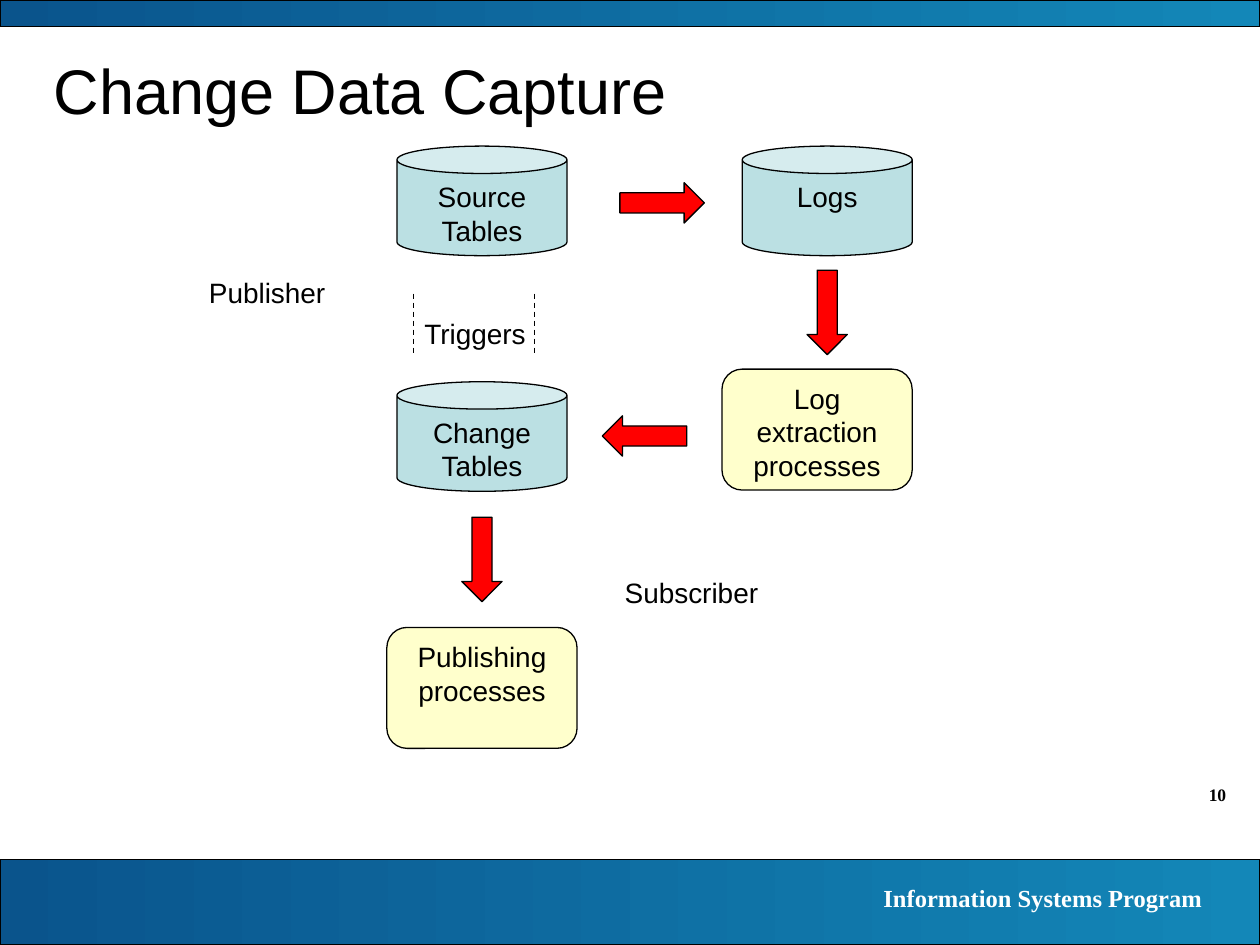
from dataclasses import dataclass

from pptx import Presentation
from pptx.dml.color import RGBColor
from pptx.enum.dml import MSO_LINE
from pptx.enum.shapes import MSO_CONNECTOR, MSO_SHAPE
from pptx.enum.text import MSO_ANCHOR, PP_ALIGN
from pptx.oxml.ns import qn
from pptx.util import Inches, Pt
from lxml.etree import SubElement


@dataclass(frozen=True)
class Theme:
    black: str = "000000"
    white: str = "FFFFFF"
    band_start: str = "0A548C"
    band_end: str = "1387B8"
    store: str = "BBE0E3"
    process: str = "FFFFCC"
    arrow: str = "FF0000"
    sans: str = "Arial"
    serif: str = "Times New Roman"
    title_size: int = 36
    body_size: int = 16
    footer_size: int = 14
    number_size: int = 10
    line_width: float = 0.75


@dataclass(frozen=True)
class Box:
    left: float
    top: float
    width: float
    height: float

    def inner(self, left, top, width, height):
        return Box(self.left + left, self.top + top, width, height)

    def lengths(self):
        return [Inches(n) for n in (self.left, self.top, self.width, self.height)]


THEME = Theme()


def color(value):
    return RGBColor.from_string(value)


def write_text(shape, text, size=THEME.body_size, font=THEME.sans, ink=THEME.black,
               bold=False, align=PP_ALIGN.LEFT, anchor=MSO_ANCHOR.TOP, wrap=True):
    frame = shape.text_frame
    frame.word_wrap = wrap
    frame.vertical_anchor = anchor
    frame.text = text
    for paragraph in frame.paragraphs:
        paragraph.alignment = align
        paragraph.font.size = Pt(size)
        paragraph.font.name = font
        paragraph.font.bold = bold
        paragraph.font.color.rgb = color(ink)


def add_label(slide, box, text, **text_format):
    write_text(slide.shapes.add_textbox(*box.lengths()), text, **text_format)


def add_outlined(slide, kind, box, fill=None, text=None, rotation=0):
    shape = slide.shapes.add_shape(kind, *box.lengths())
    shape.shadow.inherit = False
    shape.rotation = rotation
    shape.line.color.rgb = color(THEME.black)
    shape.line.width = Pt(THEME.line_width)
    if fill:
        shape.fill.solid()
        shape.fill.fore_color.rgb = color(fill)
    if text:
        write_text(shape, text, align=PP_ALIGN.CENTER)
    return shape


def add_dashed_line(slide, left, top, length):
    x, start, end = (Inches(n) for n in (left, top, top + length))
    line = slide.shapes.add_connector(MSO_CONNECTOR.STRAIGHT, x, start, x, end)
    line.line.color.rgb = color(THEME.black)
    line.line.width = Pt(THEME.line_width)
    line.line.dash_style = MSO_LINE.DASH
    SubElement(line._element.spPr, qn("a:effectLst"))


def add_band(slide, box):
    band = add_outlined(slide, MSO_SHAPE.RECTANGLE, box)
    band.fill.gradient()
    band.fill.gradient_angle = 0
    for stop, value in zip(band.fill.gradient_stops, (THEME.band_start, THEME.band_end)):
        stop.color.rgb = color(value)


def add_footer(slide, box):
    add_band(slide, box)
    add_label(slide, box.inner(5.55, 0.14, 4.09, 0.34), "Information Systems Program",
              size=THEME.footer_size, font=THEME.serif, ink=THEME.white,
              bold=True, align=PP_ALIGN.RIGHT)


def add_page_number(slide, box, number):
    add_label(slide, box, number, size=THEME.number_size, font=THEME.serif,
              bold=True, align=PP_ALIGN.RIGHT)


def add_title(slide, box, text):
    add_label(slide, box, text, size=THEME.title_size, anchor=MSO_ANCHOR.MIDDLE)


def add_capture_diagram(slide, box):
    stores = [(1.59, 0, "Source Tables"), (4.33, 0, "Logs"), (1.59, 1.87, "Change\nTables")]
    for left, top, text in stores:
        add_outlined(slide, MSO_SHAPE.CAN, box.inner(left, top, 1.35, 0.87),
                     THEME.store, text)

    processes = [(4.17, 1.77, "Log extraction processes"), (1.51, 3.82, "Publishing processes")]
    for left, top, text in processes:
        add_outlined(slide, MSO_SHAPE.ROUNDED_RECTANGLE, box.inner(left, top, 1.51, 0.96),
                     THEME.process, text)

    arrows = [(3.36, 0.29, 0), (4.67, 1.16, 90), (3.22, 2.14, 180), (1.93, 3.12, 90)]
    for left, top, rotation in arrows:
        add_outlined(slide, MSO_SHAPE.RIGHT_ARROW, box.inner(left, top, 0.67, 0.32),
                     THEME.arrow, rotation=rotation)

    for left in (1.72, 2.68):
        add_dashed_line(slide, box.left + left, box.top + 1.17, 0.5)

    labels = [(0, 0.98, 1.18, "Publisher"), (1.71, 1.3, 1.11, "Triggers"),
              (3.3, 3.36, 1.26, "Subscriber")]
    for left, top, width, text in labels:
        add_label(slide, box.inner(left, top, width, 0.37), text, wrap=False)


def main():
    presentation = Presentation()
    presentation.slide_width = Inches(10)
    presentation.slide_height = Inches(7.5)
    slide = presentation.slides.add_slide(presentation.slide_layouts[6])
    add_page_number(slide, Box(9, 6.17, 0.83, 0.27), "10")
    add_footer(slide, Box(0, 6.82, 10, 0.68))
    add_band(slide, Box(0, 0, 10, 0.21))
    add_title(slide, Box(0.33, 0.33, 9.17, 0.75), "Change Data Capture")
    add_capture_diagram(slide, Box(1.56, 1.16, 5.68, 4.78))
    presentation.save("out.pptx")


if __name__ == "__main__":
    main()
